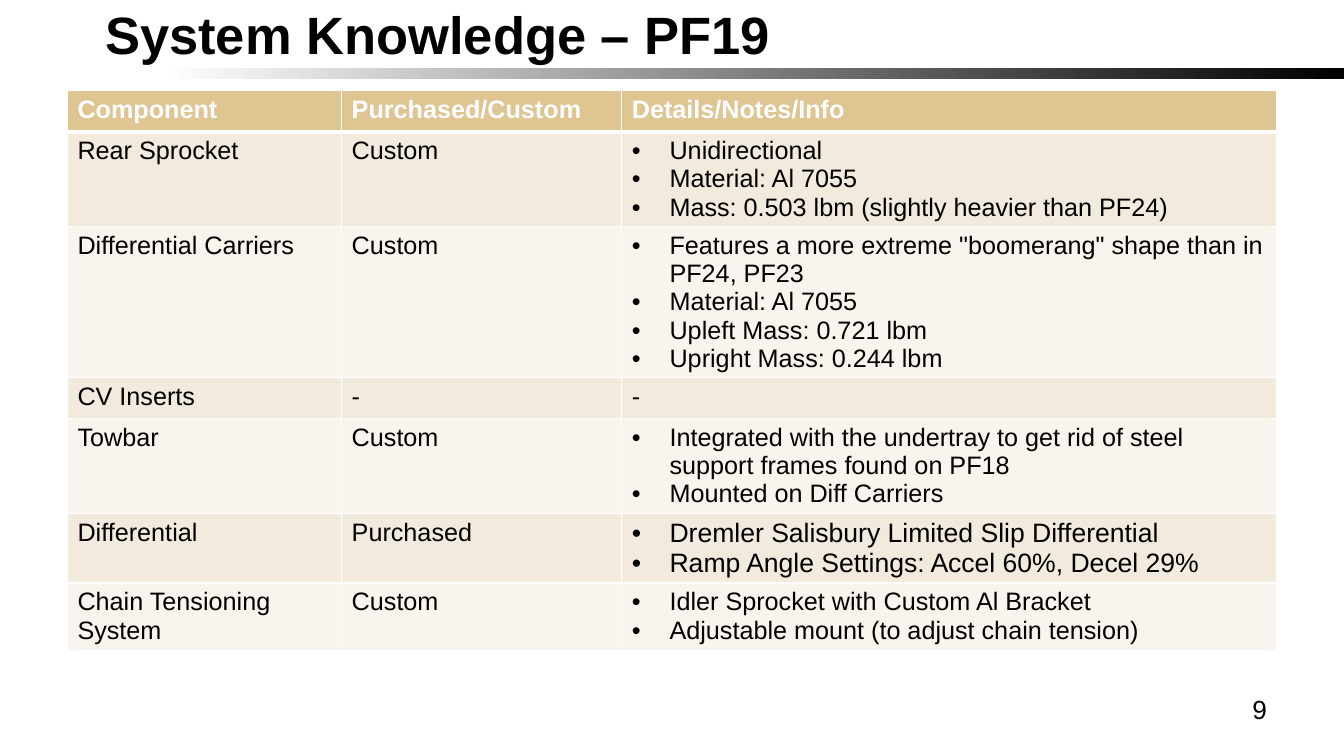
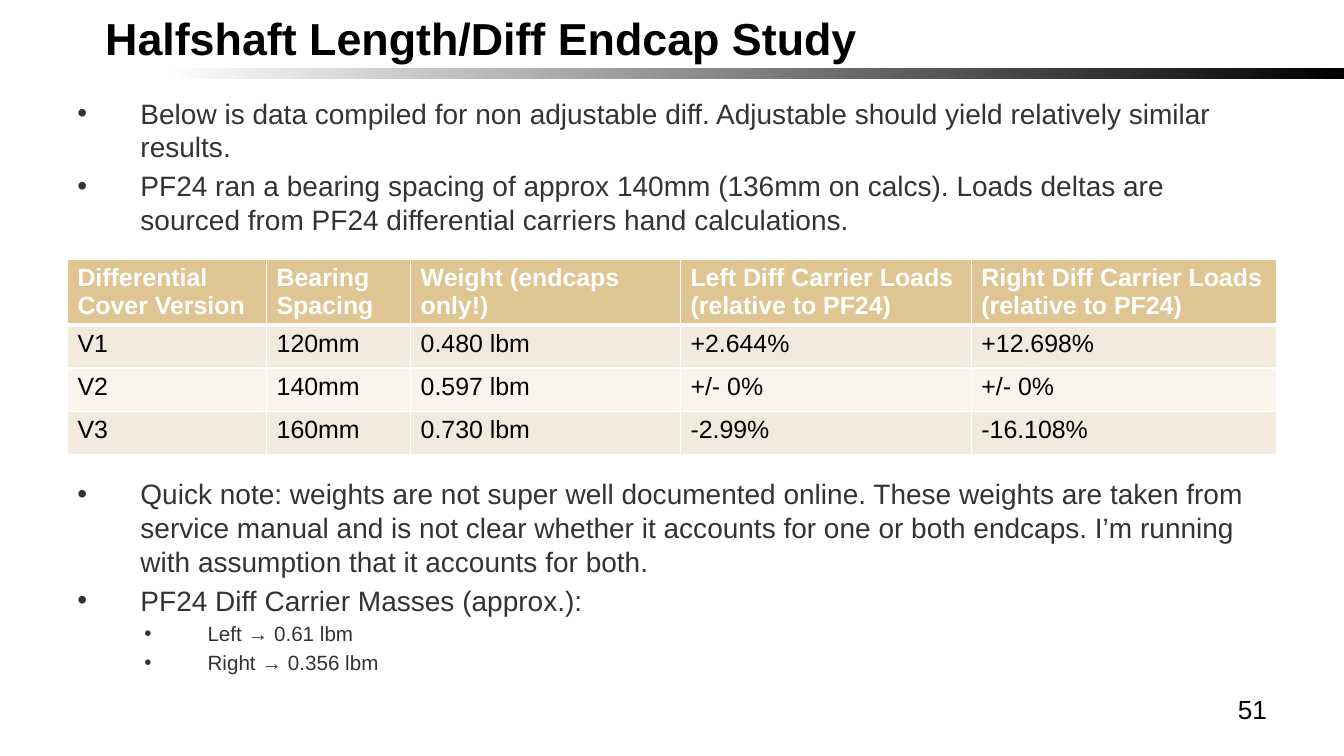
from dataclasses import dataclass

from pptx import Presentation
from pptx.dml.color import RGBColor
from pptx.enum.shapes import MSO_SHAPE, PP_PLACEHOLDER
from pptx.enum.text import MSO_ANCHOR, MSO_AUTO_SIZE, PP_ALIGN
from pptx.oxml.ns import qn
from pptx.util import Cm, Pt
from lxml.etree import SubElement


@dataclass(frozen=True)
class Theme:
    font: str = "Arial"
    black: str = "000000"
    white: str = "FFFFFF"
    body: str = "333333"
    header: str = "DEC592"
    rows: tuple = ("F2EADC", "F9F5EE")
    body_sizes: tuple = (20, 14.7)
    number_size: float = 18.7


@dataclass(frozen=True)
class Bullets:
    items: tuple
    size: float = 18


T = Theme()
LEFT, WIDTH, TOP = 1.7, 30.48, 2.29
SLIDE_W, SLIDE_H = 33.87, 19.05

COMPONENTS = {
    "title": "System Knowledge – PF19", "title_size": 37.5, "number": "9",
    "table": {
        "top": TOP, "size": 18,
        "cols": (6.91, 7.06, 16.51),
        "heights": (1.03, 2.38, 3.8, 1.03, 2.4, 1.72, 1.69),
        "cells": [
            ("Component", "Purchased/Custom", "Details/Notes/Info"),
            ("Rear Sprocket", "Custom", Bullets((
                "Unidirectional",
                "Material: Al 7055",
                "Mass: 0.503 lbm (slightly heavier than PF24)"))),
            ("Differential Carriers", "Custom", Bullets((
                'Features a more extreme "boomerang" shape than in PF24, PF23',
                "Material: Al 7055",
                "Upleft Mass: 0.721 lbm",
                "Upright Mass: 0.244 lbm"))),
            ("CV Inserts", "-", "-"),
            ("Towbar", "Custom", Bullets((
                "Integrated with the undertray to get rid of steel support frames found on PF18",
                "Mounted on Diff Carriers"))),
            ("Differential", "Purchased", Bullets((
                "Dremler Salisbury Limited Slip Differential",
                "Ramp Angle Settings: Accel 60%, Decel 29%"), size=19)),
            ("Chain Tensioning System", "Custom", Bullets((
                "Idler Sprocket with Custom Al Bracket",
                "Adjustable mount (to adjust chain tension)"))),
        ],
    },
}

ENDCAPS = {
    "title": "Halfshaft Length/Diff Endcap Study", "title_size": 32, "number": "51",
    # level, space before in points, text
    "body": [
        (0, 0, "Below is data compiled for non adjustable diff. Adjustable should yield "
               "relatively similar results."),
        (0, 4, "PF24 ran a bearing spacing of approx 140mm (136mm on calcs). Loads deltas are "
               "sourced from PF24 differential carriers hand calculations."),
        (0, 172, "Quick note: weights are not super well documented online. These weights are "
                 "taken from service manual and is not clear whether it accounts for one or both "
                 "endcaps. I’m running with assumption that it accounts for both."),
        (0, 4, "PF24 Diff Carrier Masses (approx.):"),
        (1, 3, "Left → 0.61 lbm"),
        (1, 3, "Right → 0.356 lbm"),
    ],
    "table": {
        "top": 6.53, "size": 17.8,
        "cols": (5.02, 3.63, 6.8, 7.33, 7.7),
        "heights": (1.63, 1.09, 1.09, 1.09),
        "cells": [
            ("Differential Cover Version", "Bearing Spacing", "Weight (endcaps only!)",
             "Left Diff Carrier Loads (relative to PF24)",
             "Right Diff Carrier Loads (relative to PF24)"),
            ("V1", "120mm", "0.480 lbm", "+2.644%", "+12.698%"),
            ("V2", "140mm", "0.597 lbm", "+/- 0%", "+/- 0%"),
            ("V3", "160mm", "0.730 lbm", "-2.99%", "-16.108%"),
        ],
    },
}


def rgb(color):
    return RGBColor.from_string(color)


def place(sp, left, top, width, height):
    sp.left, sp.top, sp.width, sp.height = (Cm(v) for v in (left, top, width, height))


def set_frame(tf, left=0.25, bottom=0.13, anchor=MSO_ANCHOR.TOP):
    tf.word_wrap, tf.auto_size = True, MSO_AUTO_SIZE.NONE
    tf.vertical_anchor = anchor
    tf.margin_left, tf.margin_right = Cm(left), Cm(0.25)
    tf.margin_top, tf.margin_bottom = Cm(0.13), Cm(bottom)


def write(tf, text, *, size, color=T.black, bold=False, align=PP_ALIGN.LEFT,
          level=0, bullet=None, before=0):
    """Add a paragraph; bullet is (left margin, hanging indent) in cm."""
    p = tf.add_paragraph() if tf.text else tf.paragraphs[0]
    p.alignment, p.level = align, level
    if bullet:
        margin, hang = bullet
        pPr = p._p.get_or_add_pPr()
        pPr.set("marL", str(Cm(margin)))
        pPr.set("indent", str(-Cm(hang)))
        SubElement(pPr, qn("a:buFont"), typeface=T.font)
        SubElement(pPr, qn("a:buChar"), char="•")
    p.space_before = Pt(before)
    r = p.add_run()
    r.text = text
    r.font.name, r.font.size, r.font.bold = T.font, Pt(size), bold
    r.font.color.rgb = rgb(color)


def set_borders(cell, bottom):
    tcPr = cell._tc.get_or_add_tcPr()
    for side, width in (("L", 1), ("R", 1), ("T", 1), ("B", bottom)):
        ln = SubElement(tcPr, qn(f"a:ln{side}"), w=str(Pt(width)))
        SubElement(SubElement(ln, qn("a:solidFill")), qn("a:srgbClr"), val=T.white)


def add_table(s, top, size, cols, heights, cells):
    table = s.shapes.add_table(len(cells), len(cols), Cm(LEFT), Cm(top),
                               Cm(WIDTH), Cm(sum(heights))).table
    for column, width in zip(table.columns, cols):
        column.width = Cm(width)
    for i, (row, height, values) in enumerate(zip(table.rows, heights, cells)):
        row.height = Cm(height)
        header = i == 0
        for cell, value in zip(row.cells, values):
            set_borders(cell, bottom=3 if header else 1)
            cell.fill.solid()
            cell.fill.fore_color.rgb = rgb(T.header if header else T.rows[(i - 1) % 2])
            if isinstance(value, Bullets):
                for item in value.items:
                    write(cell.text_frame, item, size=value.size, bullet=(0.95, 0.95))
            else:
                write(cell.text_frame, value, size=size, bold=header,
                      color=T.white if header else T.black)


def trim_template(prs):
    """Keep only the layouts in use, without their date, footer and number."""
    for layout in list(prs.slide_layouts):
        if not layout.used_by_slides:
            prs.slide_layouts.remove(layout)
    extras = (PP_PLACEHOLDER.DATE, PP_PLACEHOLDER.FOOTER, PP_PLACEHOLDER.SLIDE_NUMBER)
    for page in (prs.slide_master, *prs.slide_layouts):
        for sp in list(page.placeholders):
            if sp.placeholder_format.type in extras:
                sp.element.getparent().remove(sp.element)


def place_master_placeholders(prs):
    for sp in prs.slide_master.placeholders:
        if sp.placeholder_format.type == PP_PLACEHOLDER.TITLE:
            place(sp, LEFT, 0.54, 22.02, 1.09)
        elif sp.placeholder_format.type == PP_PLACEHOLDER.BODY:
            place(sp, LEFT, TOP, WIDTH, 14.4)


def add_master_band(prs, s):
    """Draw the gradient band and move it to the back of the slide master."""
    band = s.shapes.add_shape(MSO_SHAPE.RECTANGLE, 0, Cm(1.72), Cm(SLIDE_W), Cm(0.28))
    band.shadow.inherit = False
    band.line.fill.background()
    band.fill.gradient()
    band.fill.gradient_angle = 180
    for stop, position, color in zip(band.fill.gradient_stops, (0, 0.88), (T.black, T.white)):
        stop.position = position
        stop.color.rgb = rgb(color)
    band.element.nvSpPr.cNvPr.set("id", "20")
    prs.slide_master.shapes.element.insert(2, band.element)


def add_slide(prs, content):
    has_body = "body" in content
    s = prs.slides.add_slide(prs.slide_layouts[1 if has_body else 5])
    title = s.shapes.title
    set_frame(title.text_frame, left=0.95, bottom=0, anchor=MSO_ANCHOR.BOTTOM)
    write(title.text_frame, content["title"], size=content["title_size"], bold=True)

    if has_body:
        body = s.placeholders[1]
        set_frame(body.text_frame)
        for level, before, text in content["body"]:
            write(body.text_frame, text, size=T.body_sizes[level], color=T.body, level=level,
                  bullet=(1.59 + 1.69 * level, 1.59), before=before)

    number = s.shapes.add_textbox(Cm(24.28), Cm(17.35), Cm(7.9), Cm(1.32))
    set_frame(number.text_frame)
    write(number.text_frame, content["number"], size=T.number_size, align=PP_ALIGN.RIGHT)
    add_table(s, **content["table"])
    return s


def main():
    prs = Presentation()
    prs.slide_width, prs.slide_height = Cm(SLIDE_W), Cm(SLIDE_H)
    place_master_placeholders(prs)
    slides = [add_slide(prs, content) for content in (COMPONENTS, ENDCAPS)]
    add_master_band(prs, slides[0])
    trim_template(prs)
    prs.save("out.pptx")


if __name__ == "__main__":
    main()
